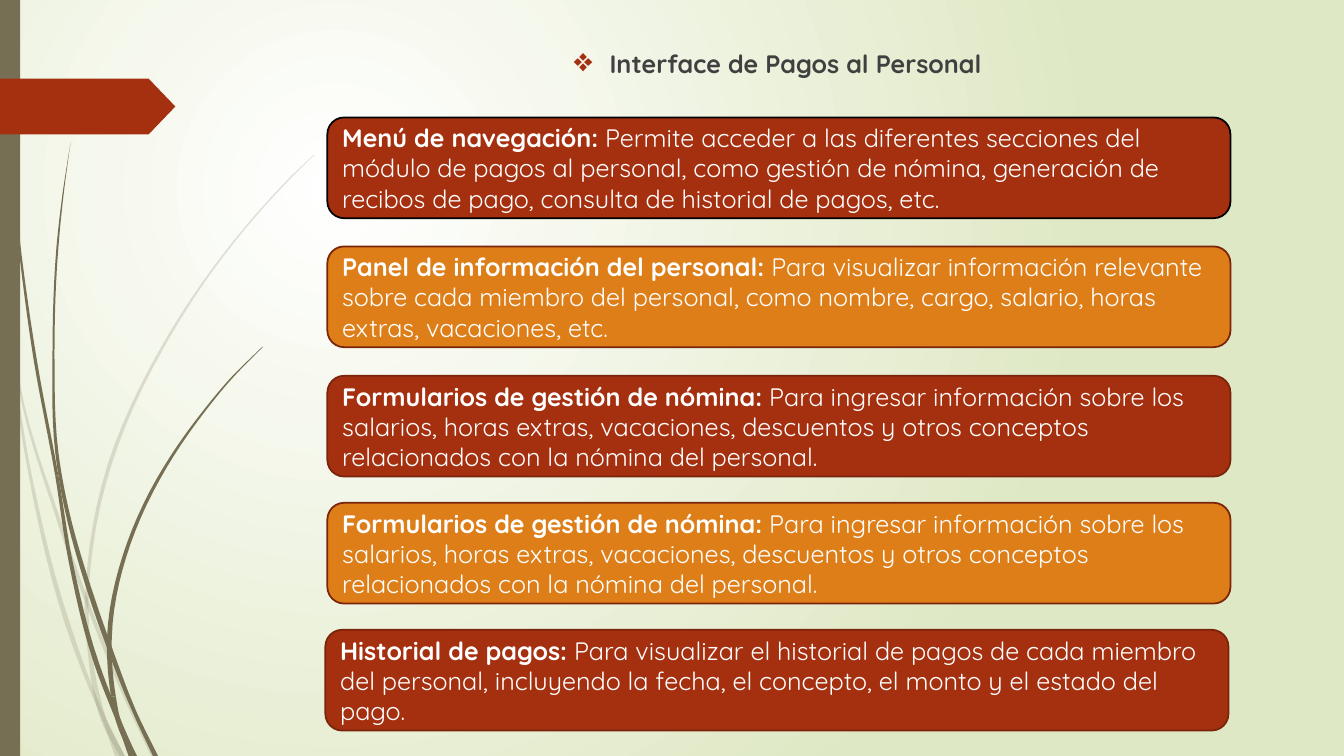
from pptx import Presentation
from pptx.dml.color import RGBColor
from pptx.enum.shapes import MSO_SHAPE
from pptx.enum.text import MSO_ANCHOR, PP_ALIGN
from pptx.oxml.ns import qn
from pptx.util import Cm, Pt
from lxml.etree import SubElement

FONT = "Quicksand"
RED, ORANGE, BROWN, OLIVE = "A53010", "DE7E18", "7A240C", "766F54"
WIDE, HIGH = 33.87, 19.05
STEPS = 6

PALE = [
    ((2, 6),
     [(0.05, 7.45, 0.1), (0.18, 8.18, 0.1), (0.28, 8.89, 0.05), (0.75, 11.92, 0.08),
      (1.71, 15.75, 0.13), (2.35, 17.48, 0.1), (2.62, 18.1, 0.1), (3.02, 19.05, 0.25)]),
    ((3,),
     [(0.36, 8.76, 0), (0.46, 9.55, 0.05), (1.52, 13.23, 0.1), (2.15, 15.05, 0.1),
      (2.3, 15.45, 0.1), (3.18, 17.6, 0.1), (3.87, 19.05, 0.13)]),
    ((6, 7, 9, 10),
     [(7.92, 3.9, 0.02), (7.35, 4.45, 0.05), (6.81, 5.02, 0.05), (5.8, 6.21, 0.05),
      (4.04, 8.85, 0.08), (2.76, 11.72, 0.1), (2.2, 14.83, 0.08), (2.18, 15.36, 0.1),
      (2.26, 16.41, 0.1), (2.46, 17.6, 0.15), (2.62, 18.15, 0.15), (3.08, 19.05, 0.13)]),
]
DARK = [
    ((4, 7),
     [(0.09, 0, 0.03), (0.19, 2.79, 0.03), (0.46, 5.92, 0.05), (0.88, 9.02, 0.08),
      (1.43, 11.98, 0.08), (1.78, 14.15, 0.1), (2.43, 16.71, 0.13), (3.04, 18.29, 0.13),
      (3.34, 19.05, 0.2)]),
    ((4, 5, 7),
     [(1.78, 3.58, 0), (1.59, 4.9, 0.03), (1.45, 6.22, 0.05), (1.35, 8.86, 0.05),
      (1.44, 11.46, 0.08), (1.68, 12.83, 0.1), (2.3, 15.01, 0.13), (2.78, 16.38, 0.13),
      (3.4, 17.96, 0.1), (3.92, 19.05, 0.13)]),
    ((5, 6, 7, 8),
     [(6.62, 8.74, 0.02), (5.87, 9.49, 0.05), (5.19, 10.3, 0.06), (3.99, 12.07, 0.09),
      (3.14, 14.01, 0.1), (2.76, 16.05, 0.12), (2.76, 16.51, 0.12), (2.86, 17.55, 0.12),
      (3.02, 18.29, 0.12), (3.38, 19.05, 0.15)]),
]
FORMS = ("Formularios de gestión de nómina:",
         " Para ingresar información sobre los salarios, horas extras, vacaciones, "
         "descuentos y otros conceptos relacionados con la nómina del personal.")
CARDS = [
    (8.25, 2.96, RED, "000000", "Menú de navegación:",
     " Permite acceder a las diferentes secciones del módulo de pagos al personal, "
     "como gestión de nómina, generación de recibos de pago, consulta de historial "
     "de pagos, etc."),
    (8.25, 6.21, ORANGE, BROWN, "Panel de información del personal:",
     " Para visualizar información relevante sobre cada miembro del personal, como "
     "nombre, cargo, salario, horas extras, vacaciones, etc."),
    (8.25, 9.47, RED, BROWN, *FORMS),
    (8.25, 12.67, ORANGE, BROWN, *FORMS),
    (8.2, 15.87, RED, BROWN, "Historial de pagos:",
     " Para visualizar el historial de pagos de cada miembro del personal, incluyendo "
     "la fecha, el concepto, el monto y el estado del pago."),
]


def color(code):
    return RGBColor.from_string(code)


def paint(shape, fill, line=None):
    shape.shadow.inherit = False
    shape.fill.solid()
    shape.fill.fore_color.rgb = color(fill)
    if line:
        shape.line.color.rgb = color(line)
        shape.line.width = Pt(1.25)
    else:
        shape.line.fill.background()
    return shape


def style(run, code, bold):
    run.font.name = FONT
    run.font.size = Pt(18)
    run.font.bold = bold
    run.font.color.rgb = color(code)


def smooth(knots):
    gaps = [b[1] - a[1] for a, b in zip(knots, knots[1:])]
    rates = [(b[0] - a[0]) / gap for a, b, gap in zip(knots, knots[1:], gaps)]
    inner = [(r * h + s * g) / (g + h)
             for r, s, g, h in zip(rates, rates[1:], gaps, gaps[1:])]
    slopes = [rates[0], *inner, rates[-1]]
    curve = []
    for a, b, m, n, gap in zip(knots, knots[1:], slopes, slopes[1:], gaps):
        for step in range(STEPS):
            t = step / STEPS
            u = 1 - t
            x = (u * u * (1 + 2 * t) * a[0] + t * t * (3 - 2 * t) * b[0]
                 + t * u * gap * (u * m - t * n))
            curve.append((x, a[1] + t * gap, u * a[2] + t * b[2]))
    return curve + [knots[-1]]


def blade(slide, joints, knots, alpha):
    curve = smooth(knots)
    cuts = [0, *(joint * STEPS for joint in joints), len(curve) - 1]
    for start, end in zip(cuts, cuts[1:]):
        part = curve[start:end + 1]
        left = [(Cm(x - w / 2), Cm(y)) for x, y, w in part]
        right = [(Cm(x + w / 2), Cm(y)) for x, y, w in part]
        edge = left + right[::-1]
        pen = slide.shapes.build_freeform(*edge[0])
        pen.add_line_segments(edge[1:], close=True)
        leaf = paint(pen.convert_to_shape(), OLIVE)
        if alpha < 100:
            tone = leaf.fill._xPr.find(qn("a:solidFill"))[0]
            SubElement(tone, qn("a:alpha")).set("val", str(alpha * 1000))


def backdrop(slide):
    fill = slide.background.fill
    fill.gradient()
    for stop, code in zip(fill.gradient_stops, ("FFFFFF", "DFE8C4")):
        stop.color.rgb = color(code)
    grad = slide._element.find(".//" + qn("a:gradFill"))
    grad.remove(grad.find(qn("a:lin")))
    glow = SubElement(grad, qn("a:path"))
    glow.set("path", "circle")
    rect = SubElement(glow, qn("a:fillToRect"))
    for side, part in zip("ltrb", (50, 50, 100, 100)):
        rect.set(side, str(part * 1000))


def margin(slide, x, y, w, h):
    for group, alpha in ((PALE, 20), (DARK, 100)):
        for joints, knots in group:
            blade(slide, joints, knots, alpha)
    add = slide.shapes.add_shape
    paint(add(MSO_SHAPE.RECTANGLE, Cm(x), Cm(y), Cm(w), Cm(h)), OLIVE)
    tag = add(MSO_SHAPE.PENTAGON, Cm(x), Cm(y + 1.98), Cm(4.42), Cm(1.41))
    tag.adjustments[0] = 0.48
    paint(tag, RED)


def title(slide, x, y, w, h):
    box = slide.shapes.add_textbox(Cm(x), Cm(y), Cm(w), Cm(h))
    box.text_frame.word_wrap = True
    para = box.text_frame.paragraphs[0]
    para.text = "Interface de Pagos al Personal"
    para.alignment = PP_ALIGN.CENTER
    para.space_before = Pt(10)
    style(para.runs[0], "404040", True)
    props = para._p.get_or_add_pPr()
    props.set("marL", str(Cm(0.95)))
    props.set("indent", str(Cm(-0.9)))
    tint = SubElement(props, qn("a:buClr"))
    SubElement(tint, qn("a:srgbClr")).set("val", RED)
    SubElement(props, qn("a:buSzPct")).set("val", "130000")
    SubElement(props, qn("a:buChar")).set("char", "❖")


def card(slide, x, y, w, h, fill, line, head, body):
    box = slide.shapes.add_shape(
        MSO_SHAPE.ROUNDED_RECTANGLE, Cm(x), Cm(y), Cm(w), Cm(h))
    paint(box, fill, line)
    frame = box.text_frame
    frame.word_wrap = True
    frame.vertical_anchor = MSO_ANCHOR.MIDDLE
    para = frame.paragraphs[0]
    para.alignment = PP_ALIGN.LEFT
    for text, bold in ((head, True), (body, False)):
        run = para.add_run()
        run.text = text
        style(run, "FFFFFF", bold)


def main():
    deck = Presentation()
    deck.slide_width, deck.slide_height = Cm(WIDE), Cm(HIGH)
    slide = deck.slides.add_slide(deck.slide_layouts[6])
    backdrop(slide)
    margin(slide, 0, 0, 0.51, HIGH)
    title(slide, 7.19, 1.09, 24.77, 1.2)
    for x, y, *rest in CARDS:
        card(slide, x, y, 22.76, 2.54, *rest)
    deck.save("out.pptx")


if __name__ == "__main__":
    main()
